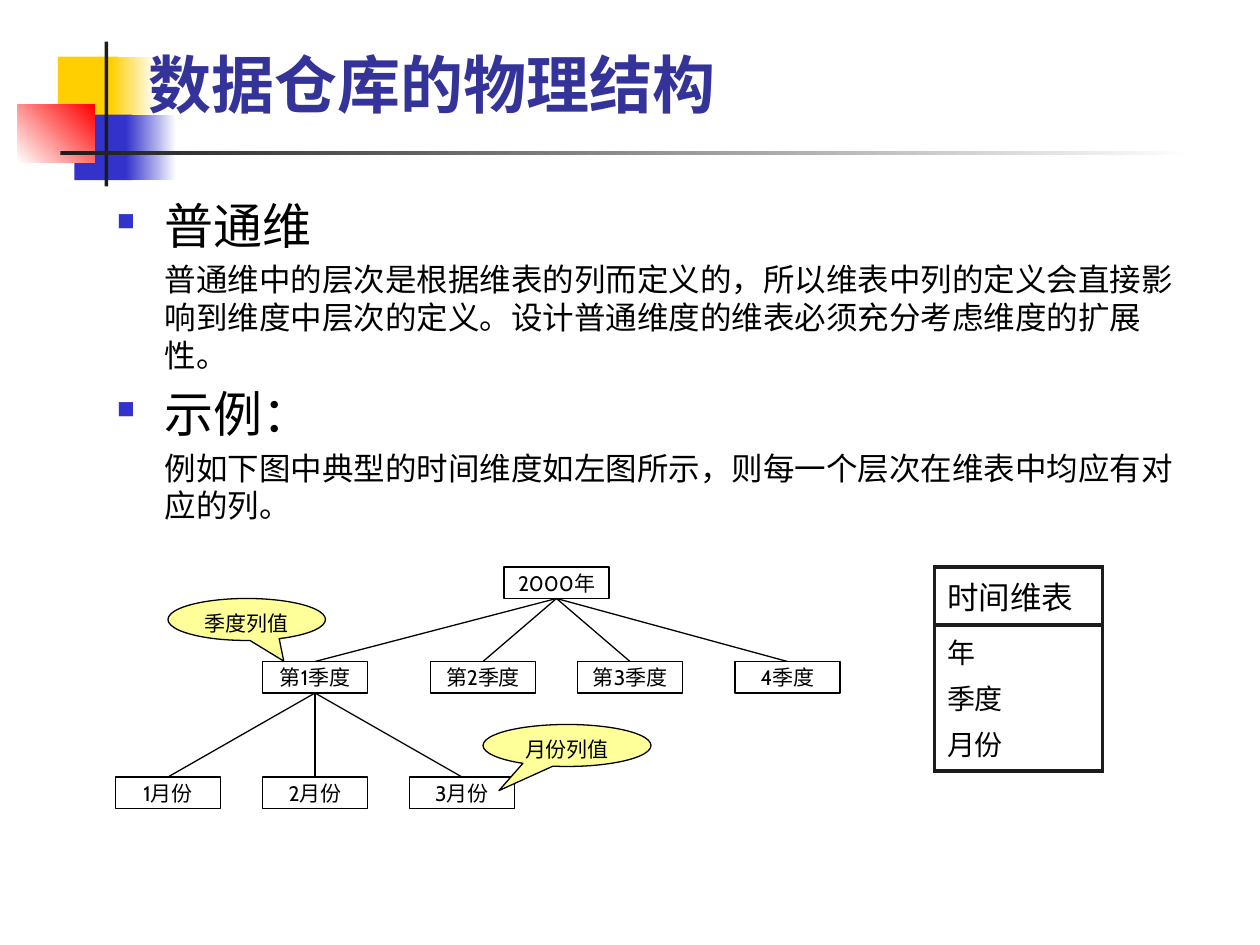
from lxml import etree
from pptx import Presentation, util as u
from pptx.dml.color import RGBColor
from pptx.enum import shapes as sh, text as tx
from pptx.oxml.ns import qn

# Content
TITLE = "数据仓库的物理结构"
SECTIONS = [
    ("普通维", "普通维中的层次是根据维表的列而定义的，所以维表中列的定义会直接影响到维度中层次的定义。"
               "设计普通维度的维表必须充分考虑维度的扩展性。"),
    ("示例：", "例如下图中典型的时间维度如左图所示，则每一个层次在维表中均应有对应的列。"),
]
# Tree nodes: text -> (column, row, parent), on a grid of 1/12 inch
NODES = {
    "2000年": (48, 54, None),
    "第1季度": (25, 63, "2000年"),
    "第2季度": (41, 63, "2000年"),
    "第3季度": (55, 63, "2000年"),
    "4季度": (70, 63, "2000年"),
    "1月份": (11, 74, "第1季度"),
    "2月份": (25, 74, "第1季度"),
    "3月份": (39, 74, "第1季度"),
}
NODE_W, NODE_H = 10, 3
CALLOUTS = [  # text, grid box, pointer
    ("月份列值", (46, 69, 16, 4), (-0.405, 1.073)),
    ("季度列值", (16, 57, 15, 4), (0.235, 0.99)),
]
TABLE_ROWS = [(["时间维表"], 18, 0.46), (["年", "季度", "月份"], 16, 1.16)]
COLORS = {"yellow": "FFCF01", "blue": "3333CC", "red": "FF0000", "dark": "1C1C1C",
          "white": "FFFFFF", "title": "333399", "text": "000000", "note": "FFFF99"}
DECOR = [  # box in inches, colours (two make a gradient), angle
    ((0.46, 0.45, 0.48, 0.52), ["yellow"], 0),
    ((0.88, 0.45, 0.36, 0.52), ["yellow", "white"], 0),
    ((0.59, 0.91, 0.46, 0.52), ["blue"], 0),
    ((1, 0.91, 0.4, 0.52), ["blue", "white"], 0),
    ((0.14, 0.83, 0.61, 0.46), ["white", "red"], 45),
    ((0.83, 0.33, 0.03, 1.15), ["dark"], 0),
    ((0.48, 1.2, 9, 0.03), ["dark", "white"], 0),
]
CJK = "Noto Sans CJK SC"


def rgb(name):
    return RGBColor.from_string(COLORS[name])


def inches(box):
    return [u.Inches(v) for v in box]


def grid(*cells):
    return inches(c / 12 for c in cells)


def write(paragraph, text, size, font="Cabin", east=None, color="text", bold=False):
    run = paragraph.add_run()
    run.text = text
    for key, value in {"size": u.Pt(size), "name": font, "bold": bold}.items():
        setattr(run.font, key, value)
    run.font.color.rgb = rgb(color)
    etree.SubElement(run._r.get_or_add_rPr(), qn("a:ea"), typeface=east or font)


def add_bullet(paragraph):
    props = paragraph._p.get_or_add_pPr()
    props.set("indent", str(-u.Inches(0.38)))
    color = etree.SubElement(props, qn("a:buClr"))
    etree.SubElement(color, qn("a:srgbClr"), val=COLORS["blue"])
    etree.SubElement(props, qn("a:buSzPct"), val="50000")
    etree.SubElement(props, qn("a:buChar"), char="■")


def add_box(kind, box, fill=None, line=True):
    shape = slide.shapes.add_shape(kind, *box)
    shape.shadow.inherit = False
    if fill:
        shape.fill.solid()
        shape.fill.fore_color.rgb = rgb(fill)
    else:
        shape.fill.background()
    if line:
        shape.line.color.rgb = rgb("text")
        shape.line.width = u.Pt(0.75)
    else:
        shape.line.fill.background()
    return shape


def label(shape, text, anchor):
    frame = shape.text_frame
    frame.word_wrap = False
    frame.vertical_anchor = anchor
    frame.paragraphs[0].alignment = tx.PP_ALIGN.CENTER
    write(frame.paragraphs[0], text, 12)


prs = Presentation()
prs.slide_width, prs.slide_height = inches((10, 7.5))
slide = prs.slides.add_slide(prs.slide_layouts[5])

# Corner blocks and rules
for box, colors, angle in DECOR:
    block = add_box(sh.MSO_SHAPE.RECTANGLE, inches(box), colors[0], line=False)
    if len(colors) == 2:
        block.fill.gradient()
        block.fill.gradient_angle = angle
        for stop, name in zip(block.fill.gradient_stops, colors):
            stop.color.rgb = rgb(name)

# Title, in front of the corner blocks
title = slide.shapes.title
slide.shapes._spTree.append(title._element)
title.left, title.top, title.width, title.height = inches((1.08, 0.42, 8.52, 0.59))
title.text_frame.vertical_anchor = tx.MSO_ANCHOR.BOTTOM
title.text_frame.auto_size = tx.MSO_AUTO_SIZE.NONE
title.text_frame.paragraphs[0].alignment = tx.PP_ALIGN.LEFT
write(title.text_frame.paragraphs[0], TITLE, 36, CJK, color="title", bold=True)

# Body: bulleted headings with explanations
body = slide.shapes.add_textbox(*inches((0.83, 1.5, 8.58, 2.8))).text_frame
body.word_wrap = True
for i, (heading, explanation) in enumerate(SECTIONS):
    for text, size in ((heading, 28), (explanation, 18)):
        first = i == 0 and text == heading
        para = body.paragraphs[0] if first else body.add_paragraph()
        props = para._p.get_or_add_pPr()
        props.set("marL", str(u.Inches(0.38)))
        props.set("hangingPunct", "0")
        if not first:
            para.space_before = u.Pt(size * 0.2)
        if text == heading:
            add_bullet(para)
        write(para, text, size)

# Time hierarchy: boxes, then branches
for text, (col, row, parent) in NODES.items():
    node = add_box(sh.MSO_SHAPE.RECTANGLE, grid(col, row, NODE_W, NODE_H))
    label(node, text, tx.MSO_ANCHOR.MIDDLE)
for col, row, parent in NODES.values():
    if parent:
        from_col, from_row, _ = NODES[parent]
        branch = slide.shapes.add_connector(sh.MSO_CONNECTOR.STRAIGHT, *grid(
            from_col + NODE_W / 2, from_row + NODE_H, col + NODE_W / 2, row))
        branch.line.color.rgb = rgb("text")
        branch.line.width = u.Pt(0.75)
        etree.SubElement(branch._element.spPr, qn("a:effectLst"))

# Callouts
for text, box, pointer in CALLOUTS:
    callout = add_box(sh.MSO_SHAPE.OVAL_CALLOUT, grid(*box), "note")
    for i, value in enumerate(pointer):
        callout.adjustments[i] = value
    label(callout, text, tx.MSO_ANCHOR.TOP)

# Time dimension table
table_height = sum(height for _, _, height in TABLE_ROWS)
table = slide.shapes.add_table(len(TABLE_ROWS), 1, *grid(89, 54, 16, table_height * 12)).table
table.first_row = table.horz_banding = False
for i, (lines, size, height) in enumerate(TABLE_ROWS):
    table.rows[i].height = u.Inches(height)
    cell = table.cell(i, 0)
    for j, text in enumerate(lines):
        para = cell.text_frame.add_paragraph() if j else cell.text_frame.paragraphs[0]
        if j:
            para.space_before = u.Pt(size * 0.2)
        write(para, text, size, "Times New Roman", CJK)
    props = cell._tc.get_or_add_tcPr()
    for side in ("lnL", "lnR", "lnT", "lnB"):
        border = etree.SubElement(props, qn("a:" + side), w=str(u.Pt(2.25)))
        fill = etree.SubElement(border, qn("a:solidFill"))
        etree.SubElement(fill, qn("a:srgbClr"), val=COLORS["dark"])
    cell.fill.background()

prs.save("out.pptx")
